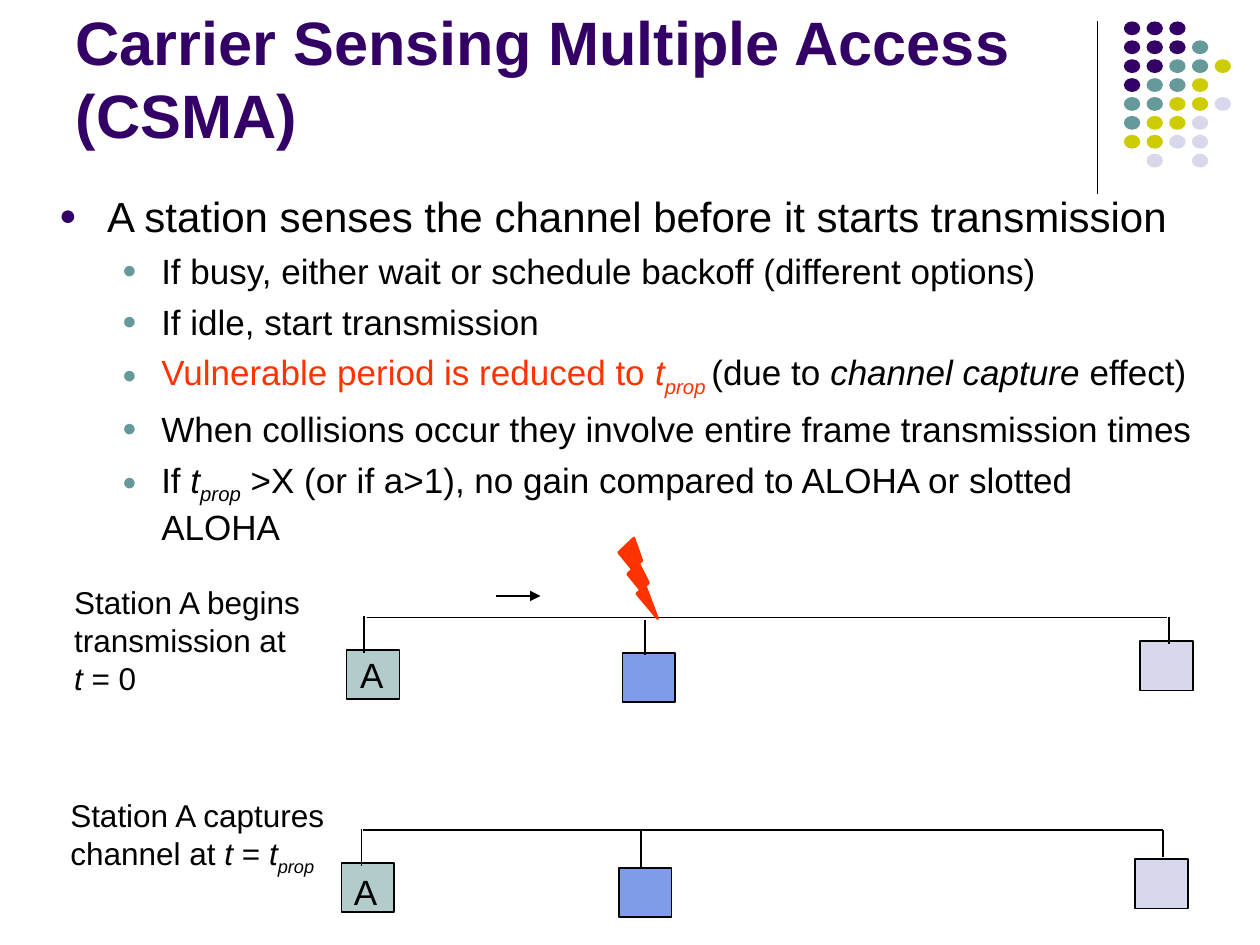
import pptx
import pptx.dml.color
import pptx.enum.shapes
import pptx.enum.text
import pptx.oxml.ns
import pptx.util
from lxml import etree
from pptx.util import Inches, Pt

SHAPE = pptx.enum.shapes.MSO_SHAPE
ANCHOR = pptx.enum.text.MSO_ANCHOR
FONT, BLACK, PURPLE, TEAL, RED = "Arial", "000000", "330066", "669999", "FF3300"

TITLE = "Carrier Sensing Multiple Access (CSMA)"
# A paragraph is a list of (text, style); style letters: i italic, s subscript, r red
BULLETS = [
    (0, [("A station senses the channel before it starts transmission", "")]),
    (1, [("If busy, either wait or schedule backoff (different options)", "")]),
    (1, [("If idle, start transmission", "")]),
    (1, [("Vulnerable period is reduced to", "r"), (" t", "ri"), ("prop ", "ris"),
         ("(due to ", ""), ("channel capture", "i"), (" effect)", "")]),
    (1, [("When collisions occur they involve entire frame transmission times", "")]),
    (1, [("If ", ""), ("t", "i"), ("prop", "is"),
         (" >X (or if a>1), no gain compared to ALOHA or slotted ALOHA", "")]),
]
# level: size, bullet colour, left margin, hanging indent
LEVELS = [(24, PURPLE, 0.38, 0.38), (20, TEAL, 0.81, 0.31)]

STATION_FILLS = ["B1CCCB", "7E9CE8", "D8D8EC"]
STATION_SIZE = (0.42, 0.39)
# stations: box left, box top, stem x, stem top, stem bottom
DIAGRAMS = [
    {"caption": [[("Station A begins transmission at\v", ""), ("t ", "i"), ("= 0", "")]],
     "caption_at": (0.49, 4.58, 2.07, 1), "label_at": (2.76, 5.14, 0.38, 0.43),
     "bus": (2.91, 4.9, 9.26, 4.9),
     "stations": [(2.75, 5.16, 2.89, 4.89, 5.18), (4.94, 5.18, 5.12, 4.92, 5.2),
                  (9.05, 5.09, 9.28, 4.9, 5.11)]},
    {"caption": [[("Station A captures", "")],
                 [("channel at ", ""), ("t ", "i"), ("= ", ""), ("t", "i"), ("prop", "is")]],
     "caption_at": (0.46, 6.27, 2.3, 0.7), "label_at": (2.71, 6.86, 0.38, 0.43),
     "bus": (2.88, 6.59, 9.23, 6.59),
     "stations": [(2.71, 6.85, 2.87, 6.58, 6.87), (4.91, 6.89, 5.09, 6.59, 6.88),
                  (9.01, 6.82, 9.23, 6.59, 6.8)]},
]

DOT_COLOURS = {"P": PURPLE, "T": TEAL, "Y": "CCCC00", "L": "D8D8EC"}
DOT_ROWS = ["PPP", "PPPT", "PPTTY", "PTTY", "TTYYL", "TYYL", "YYLL", " L L"]


def rgb(colour):
    return pptx.dml.color.RGBColor.from_string(colour)


def place(sp, left, top, width, height):
    sp.left, sp.top = Inches(left), Inches(top)
    sp.width, sp.height = Inches(width), Inches(height)


def sub(parent, tag, **attributes):
    return etree.SubElement(parent, pptx.oxml.ns.qn(tag), attributes)


def add_shape(s, kind, at, fill, line=None, weight=1):
    sp = s.shapes.add_shape(kind, *map(Inches, at))
    sp.shadow.inherit = False
    sp.fill.solid()
    sp.fill.fore_color.rgb = rgb(fill)
    if line:
        sp.line.color.rgb = rgb(line)
        sp.line.width = Pt(weight)
    else:
        sp.line.fill.background()


def add_line(s, x1, y1, x2, y2, weight=1, arrow=False):
    c = s.shapes.add_connector(pptx.enum.shapes.MSO_CONNECTOR.STRAIGHT,
                               *map(Inches, (x1, y1, x2, y2)))
    c.line.color.rgb = rgb(BLACK)
    c.line.width = Pt(weight)
    if arrow:
        sub(c.line._get_or_add_ln(), "a:tailEnd", type="triangle")
    sub(c._element.spPr, "a:effectLst")


def set_font(p, size, colour=BLACK):
    p.font.name, p.font.size = FONT, Pt(size)
    p.font.color.rgb = rgb(colour)


def add_runs(p, runs):
    for text, style in runs:
        if text.endswith("\v"):
            p.add_run().text = text[:-1]
            p.add_line_break()
            continue
        r = p.add_run()
        r.text = text
        if "i" in style:
            r.font.italic = True
        if "r" in style:
            r.font.color.rgb = rgb(RED)
        if "s" in style:
            r.font._element.set("baseline", "-25000")


def add_bullet(p, colour, margin, hanging):
    pPr = p._p.get_or_add_pPr()
    pPr.set("marL", str(Inches(margin)))
    pPr.set("indent", str(-Inches(hanging)))
    sub(sub(pPr, "a:buClr"), "a:srgbClr", val=colour)
    sub(pPr, "a:buSzPct", val="70000")
    sub(pPr, "a:buFont", typeface=FONT)
    sub(pPr, "a:buChar", char="●")


def add_text(s, at, paragraphs, size, wrap=True):
    tf = s.shapes.add_textbox(*map(Inches, at)).text_frame
    tf.word_wrap = wrap
    for n, runs in enumerate(paragraphs):
        p = tf.add_paragraph() if n else tf.paragraphs[0]
        set_font(p, size)
        add_runs(p, runs)


def fill_placeholders(s):
    title, body = s.shapes.title, s.placeholders[1]
    place(title, 0.5, 0.13, 8.25, 1.12)
    place(body, 0.37, 1.46, 9.21, 2.54)
    for sp, anchor in ((title, ANCHOR.BOTTOM), (body, ANCHOR.TOP)):
        sp.text_frame.vertical_anchor = anchor
        sp.text_frame.auto_size = pptx.enum.text.MSO_AUTO_SIZE.NONE
    p = title.text_frame.paragraphs[0]
    p.text = TITLE
    p.alignment = pptx.enum.text.PP_ALIGN.LEFT
    set_font(p, 35, PURPLE)
    p.font.bold = True

    tf = body.text_frame
    for n, (level, runs) in enumerate(BULLETS):
        p = tf.add_paragraph() if n else tf.paragraphs[0]
        size, *bullet = LEVELS[level]
        p.level = level
        p.space_before = Pt(5 if n else 0)
        add_bullet(p, *bullet)
        set_font(p, size)
        add_runs(p, runs)


def add_decoration(s):
    add_line(s, 8.71, 0.17, 8.71, 1.54, weight=0.75)
    for row, codes in enumerate(DOT_ROWS):
        for col, code in enumerate(codes):
            if code in DOT_COLOURS:
                at = (8.92 + 0.18 * col, 0.17 + 0.15 * row, 0.13, 0.11)
                add_shape(s, SHAPE.OVAL, at, DOT_COLOURS[code])


def add_diagram(s, d):
    add_line(s, *d["bus"])
    for (left, top, x, y1, y2), fill in zip(d["stations"], STATION_FILLS):
        add_shape(s, SHAPE.RECTANGLE, (left, top, *STATION_SIZE), fill, BLACK)
        add_line(s, x, y1, x, y2)
    add_text(s, d["label_at"], [[("A", "")]], 20, wrap=False)
    add_text(s, d["caption_at"], d["caption"], 18)


def main():
    prs = pptx.Presentation()
    prs.slide_width, prs.slide_height = Inches(10), Inches(7.5)
    s = prs.slides.add_slide(prs.slide_layouts[1])
    add_decoration(s)
    fill_placeholders(s)
    for d in DIAGRAMS:
        add_diagram(s, d)
    add_line(s, 3.94, 4.73, 4.29, 4.73, arrow=True)
    add_shape(s, SHAPE.LIGHTNING_BOLT, (4.91, 4.27, 0.31, 0.64), RED, RED, 1.5)
    prs.save("out.pptx")


if __name__ == "__main__":
    main()
